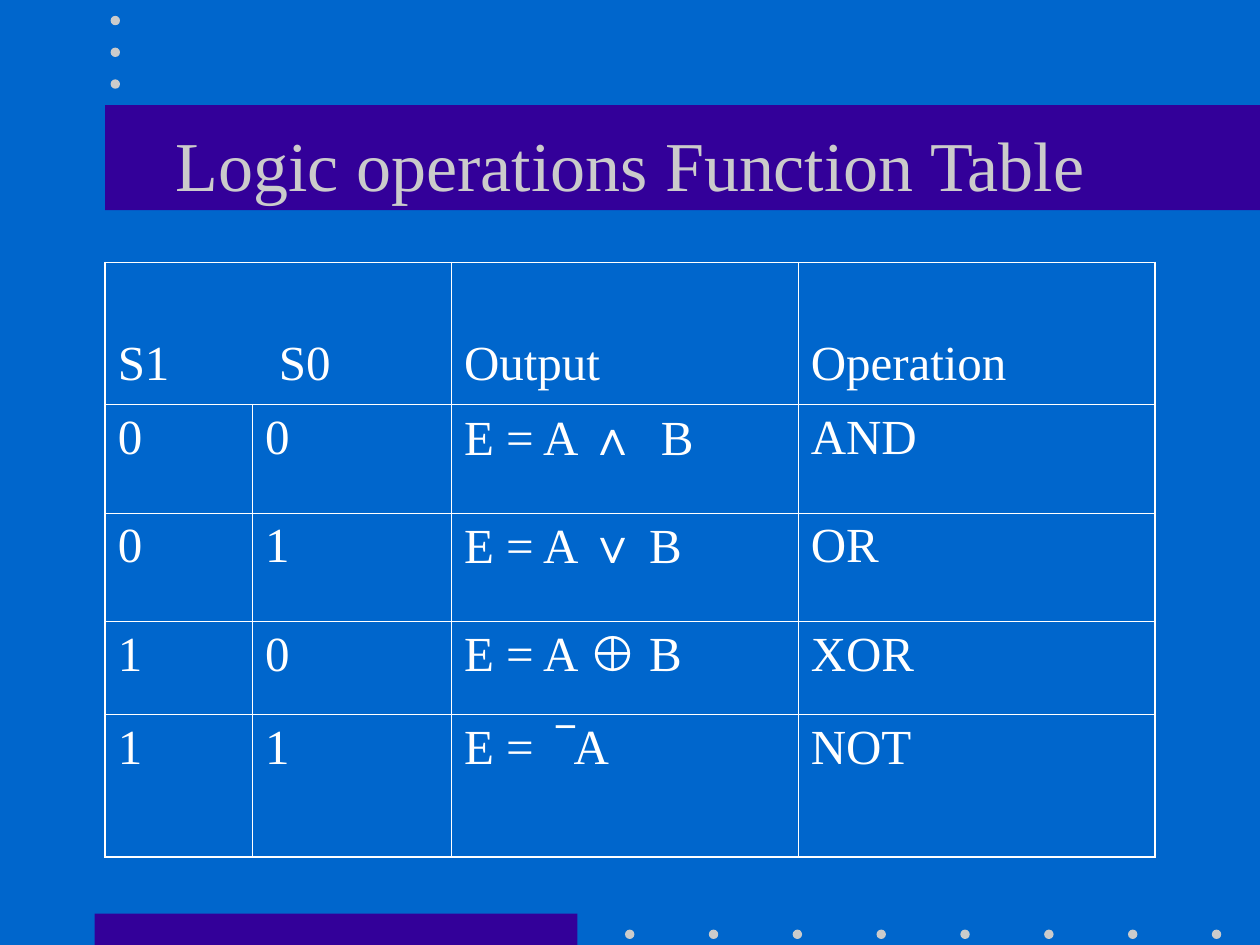
from lxml.etree import SubElement
from pptx import Presentation
from pptx.dml.color import RGBColor
from pptx.enum.shapes import MSO_SHAPE
from pptx.enum.text import MSO_ANCHOR, PP_ALIGN
from pptx.oxml import parse_xml
from pptx.oxml.ns import nsdecls, qn
from pptx.util import Cm, Pt


def paint(color_format, color):
    """Set a fill's or font's colour from a hex string."""
    color_format.rgb = RGBColor.from_string(color)


def add_decoration(kind, left, top, width, height, color):
    shape = page.shapes.add_shape(kind, Cm(left), Cm(top), Cm(width), Cm(height))
    shape.shadow.inherit = False
    shape.fill.solid()
    paint(shape.fill.fore_color, color)
    shape.line.fill.background()


BLUE, PURPLE, GREY, WHITE = "0066CC", "330099", "CBCBCB", "FFFFFF"
FONT = "Times New Roman"

deck = Presentation()
deck.slide_width, deck.slide_height = Cm(25.4), Cm(19.05)
page = deck.slides.add_slide(deck.slide_layouts[5])
page.background.fill.solid()
paint(page.background.fill.fore_color, BLUE)

# Bars and dots
add_decoration(MSO_SHAPE.RECTANGLE, 1.91, 18.42, 9.73, 0.63, PURPLE)
add_decoration(MSO_SHAPE.RECTANGLE, 2.12, 2.12, 23.28, 2.12, PURPLE)
bottom_dots = [(12.6 + 1.69 * step, 18.74) for step in range(8)]
top_dots = [(2.23, 0.32 + 0.64 * step) for step in range(3)]
for left, top in bottom_dots + top_dots:
    add_decoration(MSO_SHAPE.OVAL, left, top, 0.19, 0.19, GREY)

# Title, brought in front of its bar
title = page.shapes.title
title.element.getparent().append(title.element)
title.left, title.top, title.width, title.height = Cm(1.91), Cm(1.7), Cm(21.59), Cm(3.18)
title.text_frame.vertical_anchor = MSO_ANCHOR.MIDDLE
para = title.text_frame.paragraphs[0]
para.text = "Logic operations Function Table"
para.alignment = PP_ALIGN.CENTER
para.font.name, para.font.size = FONT, Pt(40)
paint(para.font.color, GREY)

# Function table: a text is a list of runs, symbols are set in Arial
column_widths = [2.97, 4.01, 6.99, 7.2]
row_heights = [2.87, 2.18, 2.18, 1.88, 2.87]
rows = [
    [["S1\tS0"], [], ["Output"], ["Operation"]],
    [["0"], ["0"], ["E = A ", "∧", "\tB"], ["AND"]],
    [["0"], ["1"], ["E = A ", "∨", " B"], ["OR"]],
    [["1"], ["0"], ["E = A ", "⊕", " B"], ["XOR"]],
    [["1"], ["1"], ["E =\t", "‾", "A"], ["NOT"]],
]
symbols = "∧∨⊕‾"
tab_stops = {(0, 0): 3.25, (1, 2): 3.97, (4, 2): 1.88}
last_row, last_column = len(rows) - 1, len(column_widths) - 1

table = page.shapes.add_table(
    len(rows), len(column_widths), Cm(2.12), Cm(5.29),
    Cm(sum(column_widths)), Cm(sum(row_heights))).table
table.first_row = table.horz_banding = False
for column, width in zip(table.columns, column_widths):
    column.width = Cm(width)
for row, height in zip(table.rows, row_heights):
    row.height = Cm(height)
table.cell(0, 0).merge(table.cell(0, 1))

for r, texts in enumerate(rows):
    for c, spans in enumerate(texts):
        cell = table.cell(r, c)
        cell.fill.background()
        if r == 0:
            cell.vertical_anchor = MSO_ANCHOR.BOTTOM
            cell.margin_bottom = Cm(0.28)

        outer_edges = {"lnL": c == 0, "lnR": c == last_column,
                       "lnT": r == 0, "lnB": r == last_row}
        for place, (edge, is_outer) in enumerate(outer_edges.items()):
            width = Pt(1.08 if is_outer else 0.45)
            cell._tc.get_or_add_tcPr().insert(place, parse_xml(
                f'<a:{edge} {nsdecls("a")} w="{width}"><a:solidFill>'
                f'<a:srgbClr val="{WHITE}"/></a:solidFill></a:{edge}>'))

        if not spans:
            continue
        para = cell.text_frame.paragraphs[0]
        if (r, c) in tab_stops:
            tabs = SubElement(para._p.get_or_add_pPr(), qn("a:tabLst"))
            SubElement(tabs, qn("a:tab"), pos=str(Cm(tab_stops[r, c])), algn="l")
        para.font.name, para.font.size = FONT, Pt(28)
        paint(para.font.color, WHITE)
        for text in spans:
            span = para.add_run()
            span.text = text
            if text in symbols:
                span.font.name = "Arial"

deck.save("out.pptx")
